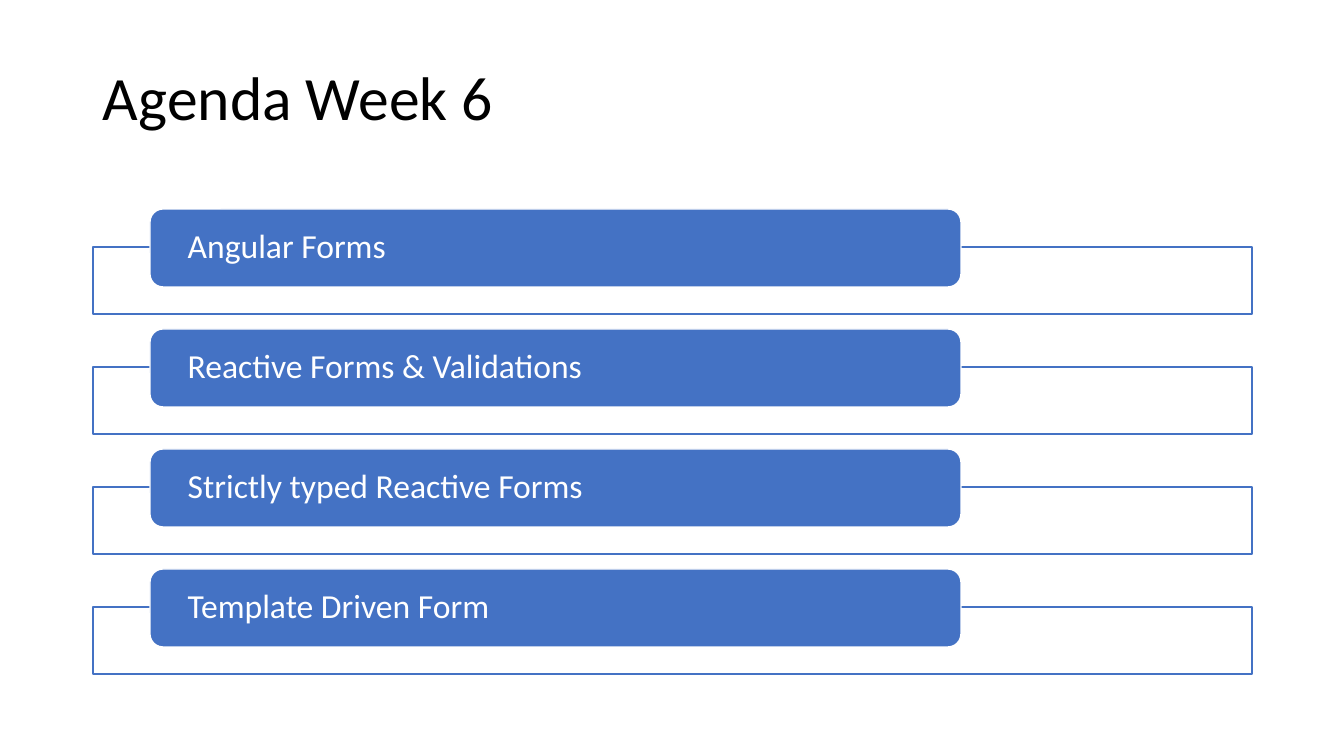
from pptx import Presentation
from pptx.dml.color import RGBColor
from pptx.enum.shapes import MSO_SHAPE as Shape
from pptx.enum.text import MSO_ANCHOR as Anchor, MSO_AUTO_SIZE as AutoSize, PP_ALIGN as Align
from pptx.util import Pt

EMU_PER_PIXEL = 914400 / 100.8
TOPICS = [
    "Angular Forms",
    "Reactive Forms & Validations",
    "Strictly typed Reactive Forms",
    "Template Driven Form",
]


def px(length):
    return round(length * EMU_PER_PIXEL)


def color(code):
    return RGBColor.from_string(code)


def write(frame, text, size, ink, inset_x=10, inset_y=5):
    frame.word_wrap = True
    frame.auto_size = AutoSize.NONE
    frame.vertical_anchor = Anchor.MIDDLE
    frame.margin_left = frame.margin_right = px(inset_x)
    frame.margin_top = frame.margin_bottom = px(inset_y)
    para = frame.paragraphs[0]
    para.alignment = Align.LEFT
    para.line_spacing = 0.9
    span = para.add_run()
    span.text = text
    span.font.name = Builder.font
    span.font.size = Pt(size)
    span.font.color.rgb = color(ink)


class Builder:
    font = "Calibri"
    accent = "4472C4"
    paper = "FFFFFF"
    ink = "000000"

    def __init__(self, page):
        self.page = page

    def title(self, text, left, top, width, height):
        box = self.page.shapes.title
        box.left, box.top, box.width, box.height = map(px, (left, top, width, height))
        write(box.text_frame, text, 44, self.ink)

    def block(self, kind, left, top, width, height, fill, line):
        box = self.page.shapes.add_shape(kind, *map(px, (left, top, width, height)))
        box.shadow.inherit = False
        box.fill.solid()
        box.fill.fore_color.rgb = color(fill)
        box.line.color.rgb = color(line)
        box.line.width = Pt(1)
        return box

    def topic(self, text, top):
        self.block(Shape.RECTANGLE, 93, top + 38, 1159, 67, self.paper, self.accent)
        label = self.block(Shape.ROUNDED_RECTANGLE, 150, top, 811, 78, self.accent, self.paper)
        write(label.text_frame, text, 24, self.paper, inset_x=34, inset_y=0)


deck = Presentation()
deck.slide_width, deck.slide_height = px(1344), px(756)
builder = Builder(deck.slides.add_slide(deck.slide_layouts[5]))
builder.title("Agenda Week 6", 93, 40, 1159, 122)
for row, topic in enumerate(TOPICS):
    builder.topic(topic, 209 + 120 * row)
deck.save("out.pptx")
